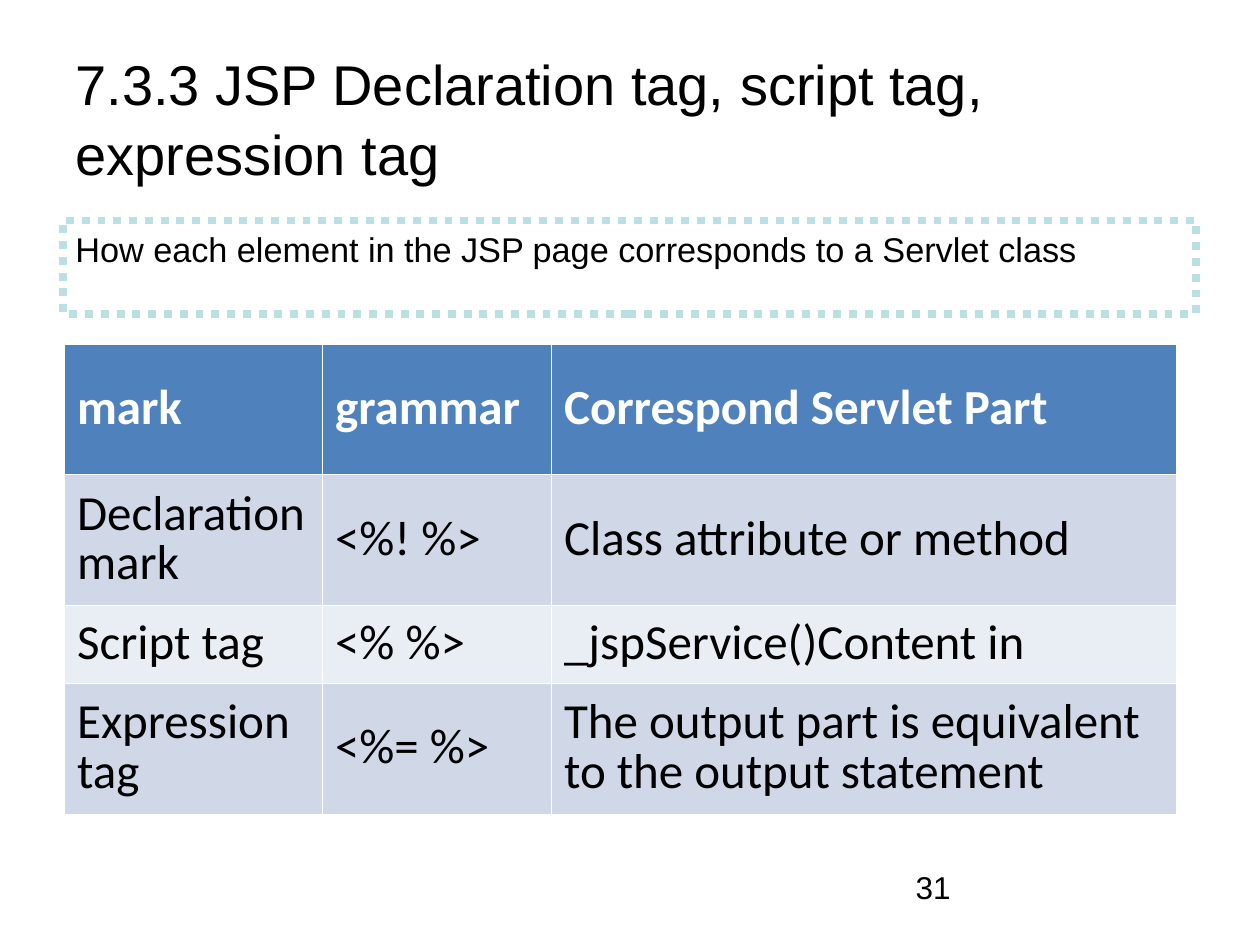
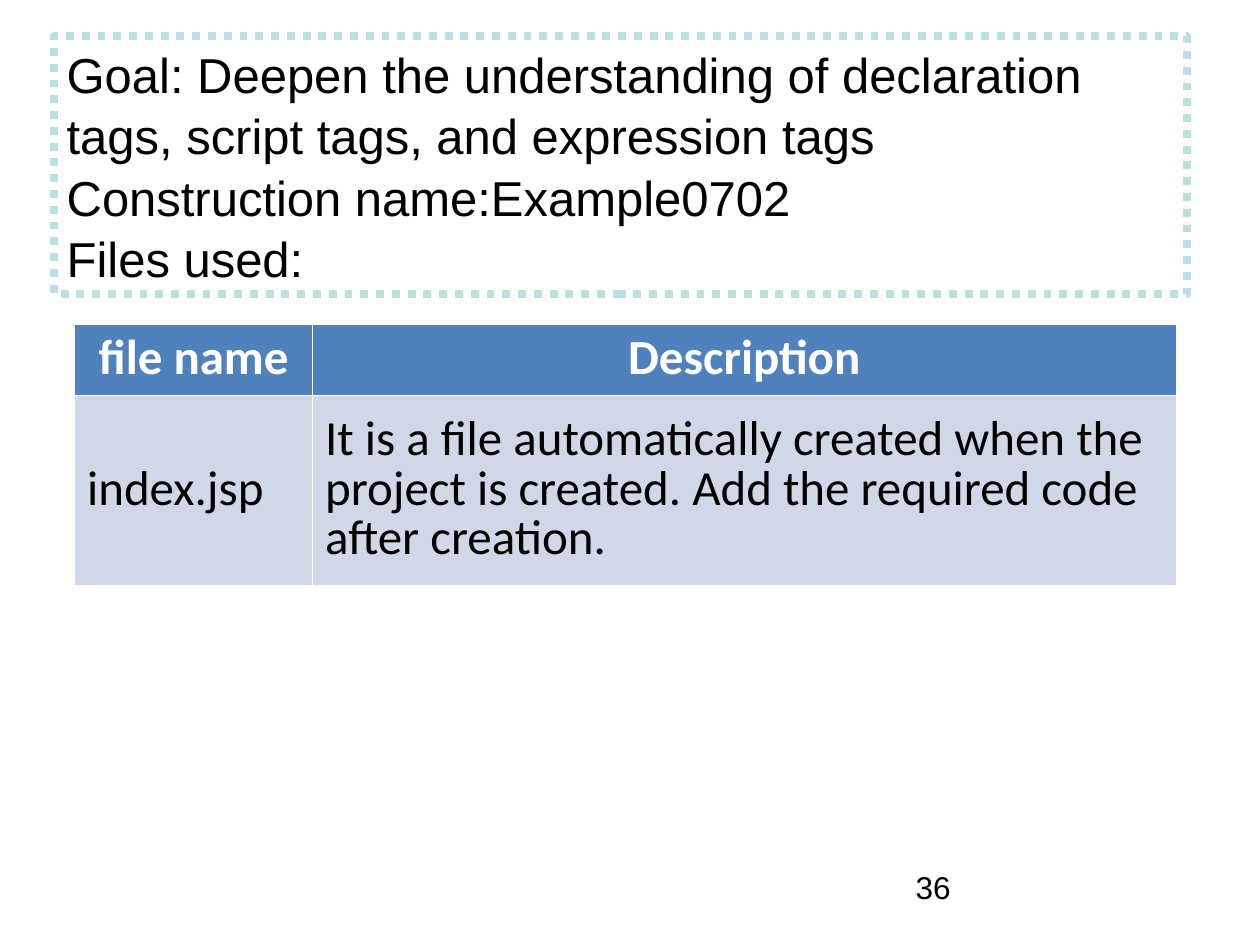
import pptx
import pptx.dml.color
import pptx.enum.dml
import pptx.enum.shapes
import pptx.enum.text
import pptx.oxml
import pptx.oxml.ns
import pptx.util
from pptx.util import Pt

BLACK, WHITE = "000000", "FFFFFF"
FRAME_COLOUR = "BBE0E3"
HEADER_FILL = "4F81BD"
BAND_FILLS = ("D0D8E8", "E9EDF4")
TEXT_FONT, TABLE_FONT = "Arial", "Calibri"
TEXT_SPACING, TABLE_SPACING = 1.04, 0.83
THIN, THICK = 0.23, 0.75
LEFT = pptx.enum.text.PP_ALIGN.LEFT
CENTER = pptx.enum.text.PP_ALIGN.CENTER
MIDDLE = pptx.enum.text.MSO_ANCHOR.MIDDLE

TITLE_BOX = (36, 21.6, 648, 90)
NUMBER_BOX = (516.2, 491.8, 167.8, 37.4)

SLIDES = [
    {
        "number": "31",
        "title": "7.3.3 JSP Declaration tag, script tag, expression tag",
        "frame": {
            "box": (36, 126, 647.3, 53.3),
            "size": 19.6,
            "lines": ["How each element in the JSP page corresponds to a Servlet class"],
        },
        "table": {
            "origin": (36.9, 196.6),
            "columns": (147.4, 130.9, 357),
            "heights": (74.7, 74.7, 44.6, 74.7),
            "header_align": LEFT,
            "rows": [
                ("mark", "grammar", "Correspond Servlet Part"),
                ("Declaration mark", "<%! %>", "Class attribute or method"),
                ("Script tag", "<% %>", "_jspService()Content in"),
                ("Expression tag", "<%= %>",
                 "The output part is equivalent to the output statement"),
            ],
        },
    },
    {
        "number": "36",
        "title": None,
        "frame": {
            "box": (31, 20.7, 647.3, 147.4),
            "size": 28,
            "lines": [
                "Goal: Deepen the understanding of declaration tags, script tags, "
                "and expression tags",
                "Construction name:Example0702",
                "Files used:",
            ],
        },
        "table": {
            "origin": (42.6, 185.3),
            "columns": (136, 493.4),
            "heights": (40.7, 108.2),
            "header_align": CENTER,
            "rows": [
                ("file name", "Description"),
                ("index.jsp",
                 "It is a file automatically created when the project is created. "
                 "Add the required code after creation."),
            ],
        },
    },
]


def rgb(colour):
    return pptx.dml.color.RGBColor.from_string(colour)


def write(text_frame, lines, size, font=TEXT_FONT, colour=BLACK, bold=False,
          align=LEFT, spacing=TEXT_SPACING):
    text_frame.word_wrap = True
    text_frame.text = "\n".join(lines)
    for paragraph in text_frame.paragraphs:
        paragraph.alignment = align
        paragraph.line_spacing = spacing
        paragraph.font.name = font
        paragraph.font.size = Pt(size)
        paragraph.font.bold = bold
        paragraph.font.color.rgb = rgb(colour)


def add_text(slide, box, text, size, spacing=TEXT_SPACING):
    text_box = slide.shapes.add_textbox(*map(Pt, box))
    write(text_box.text_frame, [text], size, spacing=spacing)
    return text_box


def add_dotted_frame(slide, box, size, lines):
    frame = slide.shapes.add_shape(
        pptx.enum.shapes.MSO_SHAPE.RECTANGLE, *map(Pt, box))
    frame.shadow.inherit = False
    frame.fill.background()
    frame.line.color.rgb = rgb(FRAME_COLOUR)
    frame.line.width = Pt(4.5)
    frame.line.dash_style = pptx.enum.dml.MSO_LINE.ROUND_DOT
    frame.text_frame.vertical_anchor = pptx.enum.text.MSO_ANCHOR.TOP
    write(frame.text_frame, lines, size)


def set_borders(cell, widths):
    """Draw white borders; widths maps the sides L, R, T, B to points."""
    properties = cell._tc.get_or_add_tcPr()
    for side, width in widths.items():
        properties.append(pptx.oxml.parse_xml(
            f'<a:ln{side} {pptx.oxml.ns.nsdecls("a")} w="{int(Pt(width))}">'
            f'<a:solidFill><a:srgbClr val="{WHITE}"/></a:solidFill></a:ln{side}>'))


def add_table(slide, origin, columns, heights, header_align, rows):
    box = (*origin, sum(columns), sum(heights))
    table = slide.shapes.add_table(len(rows), len(columns), *map(Pt, box)).table
    for column, width in zip(table.columns, columns):
        column.width = Pt(width)
    for row, height in zip(table.rows, heights):
        row.height = Pt(height)
    for row_index, texts in enumerate(rows):
        header = row_index == 0
        fill = HEADER_FILL if header else BAND_FILLS[(row_index - 1) % 2]
        for column_index, text in enumerate(texts):
            cell = table.cell(row_index, column_index)
            set_borders(cell, {"L": THIN, "R": THIN,
                               "T": THICK if row_index == 1 else THIN,
                               "B": THICK if header else THIN})
            cell.fill.solid()
            cell.fill.fore_color.rgb = rgb(fill)
            cell.vertical_anchor = MIDDLE
            write(cell.text_frame, [text], 28, TABLE_FONT,
                  WHITE if header else BLACK, header,
                  header_align if header else LEFT, TABLE_SPACING)


def main():
    presentation = pptx.Presentation()
    presentation.slide_width, presentation.slide_height = Pt(720), Pt(540)
    for content in SLIDES:
        slide = presentation.slides.add_slide(presentation.slide_layouts[6])
        add_text(slide, NUMBER_BOX, content["number"], 18)
        if content["title"]:
            title = add_text(slide, TITLE_BOX, content["title"], 32)
            title.text_frame.vertical_anchor = MIDDLE
        add_dotted_frame(slide, **content["frame"])
        add_table(slide, **content["table"])
    presentation.save("out.pptx")


if __name__ == "__main__":
    main()
